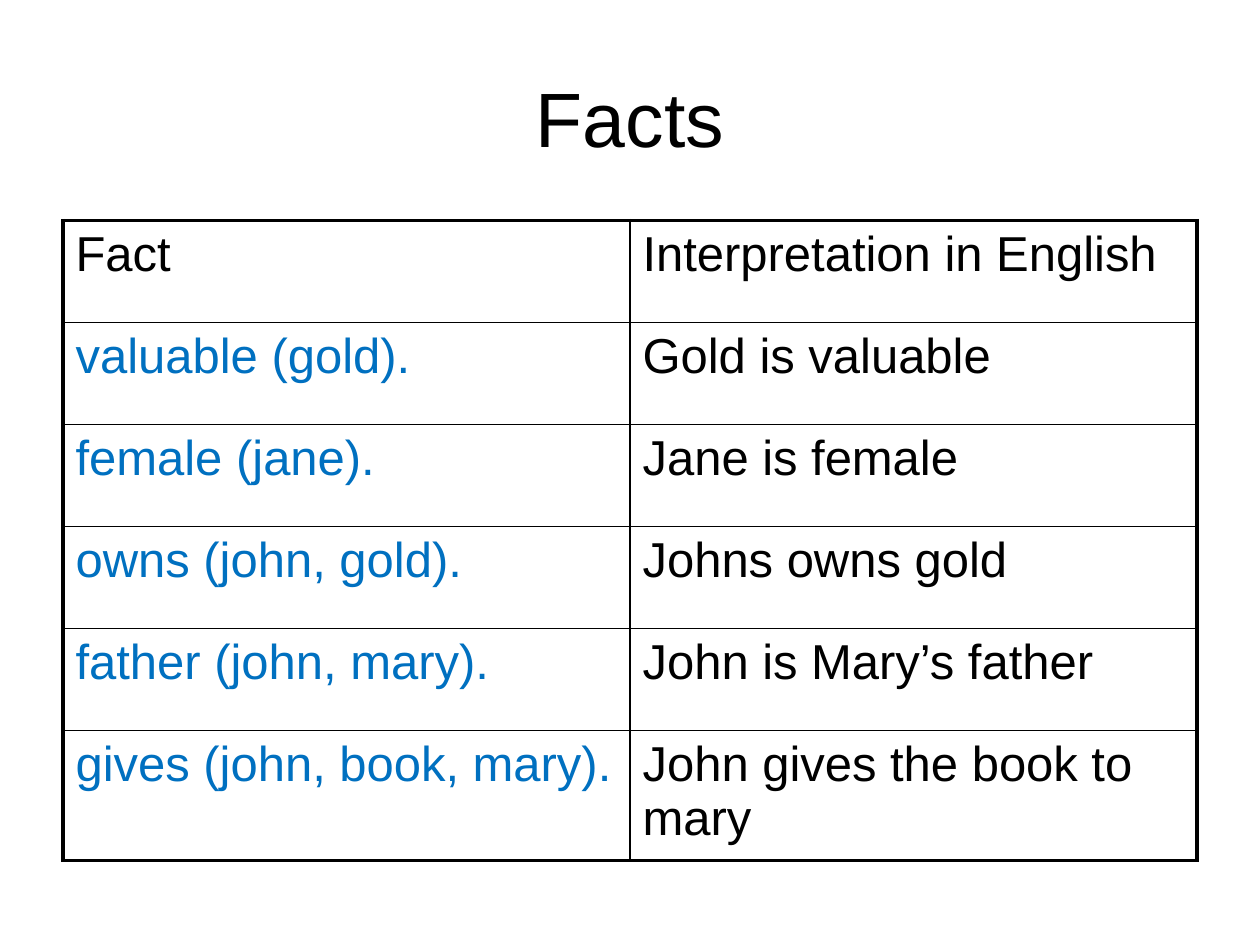
from lxml import etree
from pptx import Presentation
from pptx import util as u
from pptx.dml.color import RGBColor
from pptx.enum import text
from pptx.oxml.ns import qn

HEADING = "Facts"
FACTS = [
    ("Fact", "Interpretation in English"),
    ("valuable (gold).", "Gold is valuable"),
    ("female (jane).", "Jane is female"),
    ("owns (john, gold).", "Johns owns gold"),
    ("father (john, mary).", "John is Mary’s father"),
    ("gives (john, book, mary).", "John gives the book to mary"),
]
BLACK = RGBColor(0, 0, 0)
BLUE = RGBColor(0x00, 0x70, 0xC0)
FONT = "Arial"
OUTER, INNER = u.Pt(2.25), u.Pt(1)
MARGIN = 0.5
ROW_HEIGHT, LAST_ROW_HEIGHT = 0.81, 1.03


def write(paragraph, words, size, color):
    run = paragraph.add_run()
    run.text = words
    run.font.name = FONT
    run.font.size = u.Pt(size)
    run.font.color.rgb = color


def add_border(cell, side, width):
    line = etree.SubElement(cell._tc.get_or_add_tcPr(), qn(f"a:ln{side}"), w=str(width))
    fill = etree.SubElement(line, qn("a:solidFill"))
    etree.SubElement(fill, qn("a:srgbClr"), val=str(BLACK))


def main():
    deck = Presentation()
    deck.slide_width, deck.slide_height = u.Inches(10), u.Inches(7.5)
    slide = deck.slides.add_slide(deck.slide_layouts[5])
    width = deck.slide_width - 2 * u.Inches(MARGIN)

    heading = slide.shapes.title
    heading.left, heading.top = u.Inches(MARGIN), u.Inches(0.3)
    heading.width, heading.height = width, u.Inches(1.25)
    heading.text_frame.vertical_anchor = text.MSO_ANCHOR.MIDDLE
    heading_line = heading.text_frame.paragraphs[0]
    heading_line.alignment = text.PP_ALIGN.CENTER
    write(heading_line, HEADING, 44, BLACK)

    last_row, last_column = len(FACTS) - 1, len(FACTS[0]) - 1
    heights = [ROW_HEIGHT] * last_row + [LAST_ROW_HEIGHT]
    facts = slide.shapes.add_table(
        len(FACTS), len(FACTS[0]), u.Inches(MARGIN), u.Inches(1.75),
        width, u.Inches(sum(heights))).table
    facts.first_row = facts.horz_banding = False

    for r, (row, height) in enumerate(zip(FACTS, heights)):
        facts.rows[r].height = u.Inches(height)
        for c, words in enumerate(row):
            cell = facts.cell(r, c)
            edges = {"L": c == 0, "R": c == last_column,
                     "T": r == 0, "B": r == last_row}
            for side, is_outer in edges.items():
                add_border(cell, side, OUTER if is_outer else INNER)
            cell.fill.background()
            write(cell.text_frame.paragraphs[0], words, 28,
                  BLUE if r > 0 and c == 0 else BLACK)

    deck.save("out.pptx")


if __name__ == "__main__":
    main()
